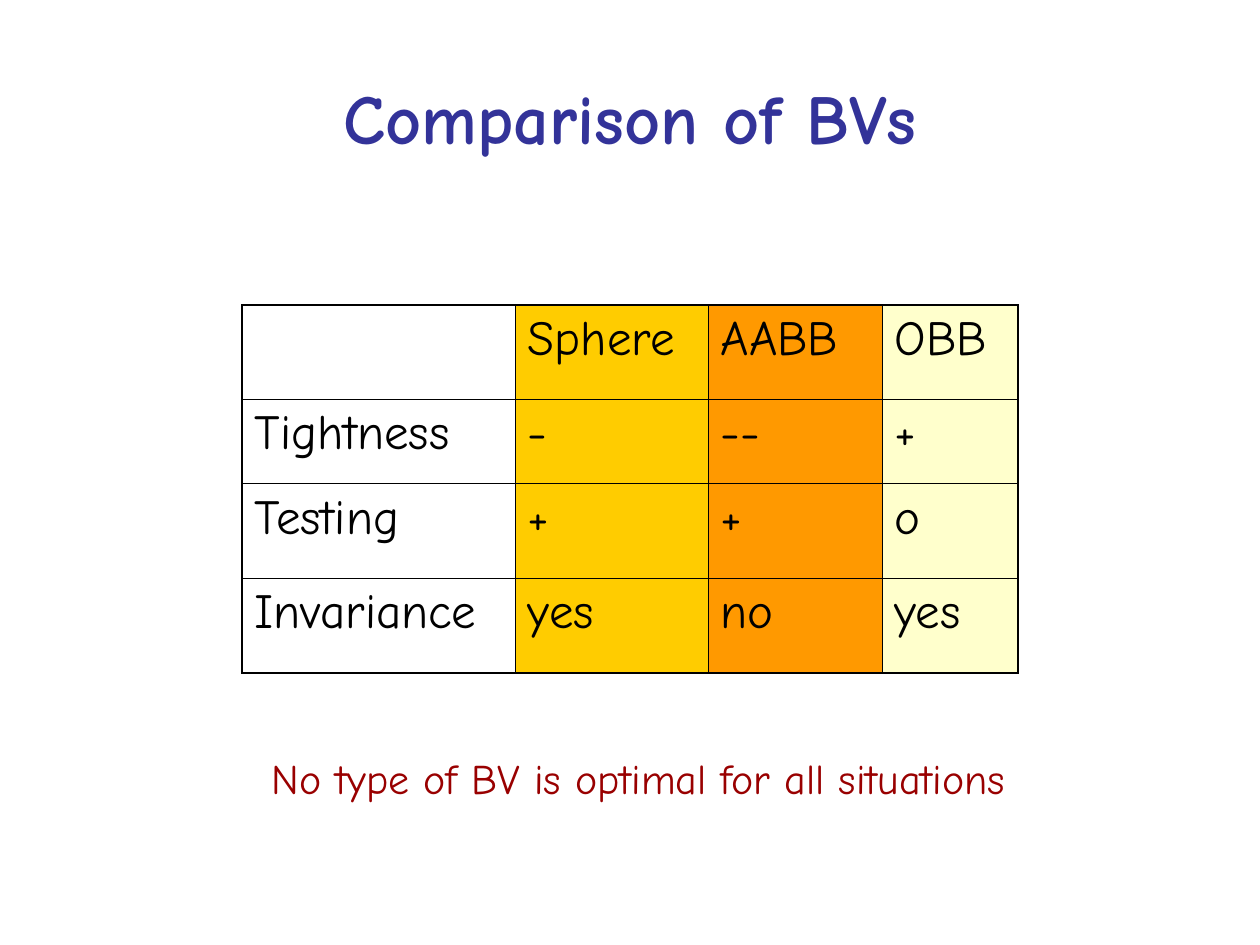
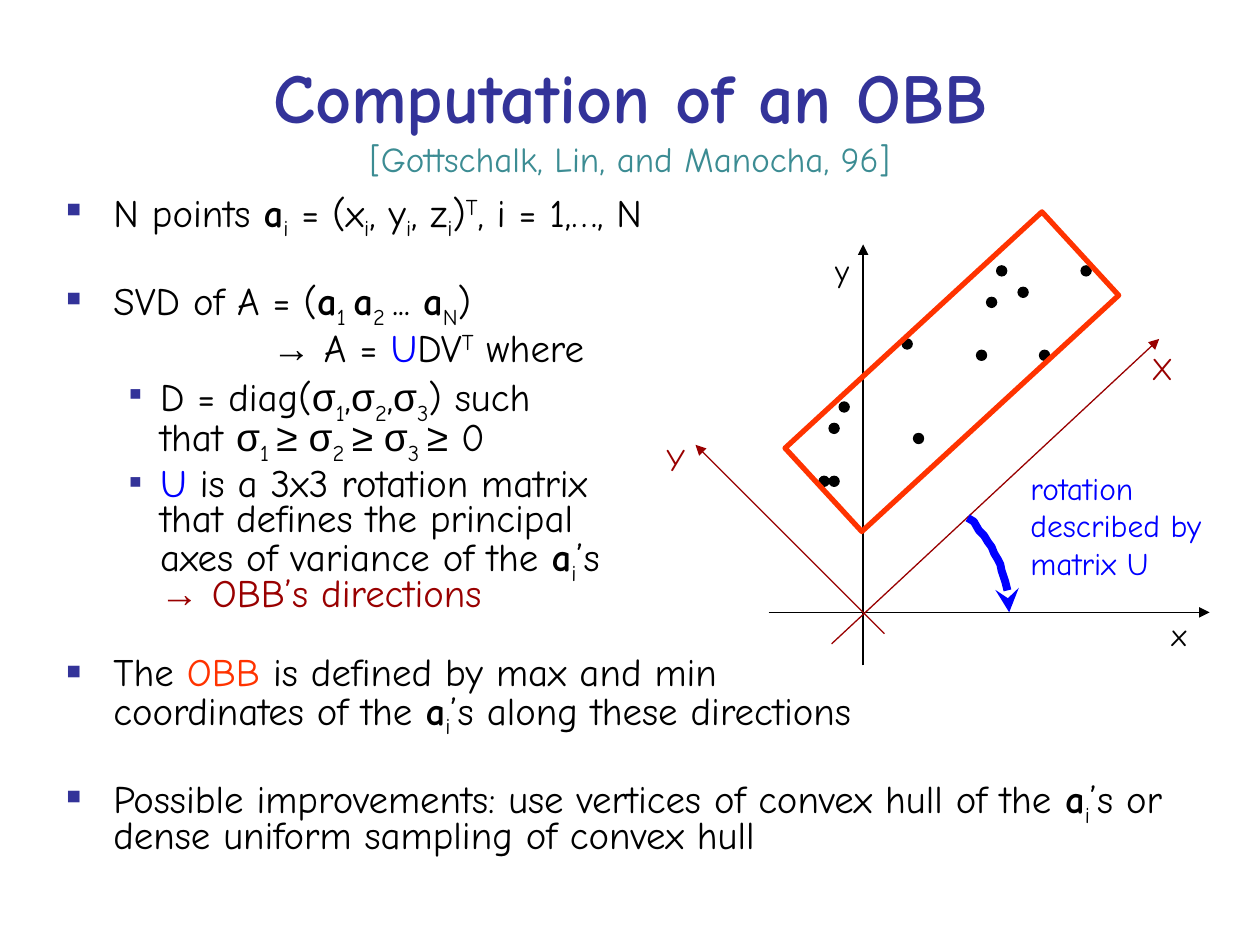
from copy import deepcopy

from lxml.etree import SubElement
from pptx import Presentation
from pptx.dml.color import RGBColor
from pptx.enum.shapes import MSO_CONNECTOR as CONNECTOR, MSO_SHAPE as SHAPE
from pptx.enum.text import MSO_ANCHOR as ANCHOR, MSO_AUTO_SIZE as AUTO_SIZE, PP_ALIGN as ALIGN
from pptx.oxml.ns import qn
from pptx.util import Pt

PX = 9144  # EMU in one px, 100 px to the inch
FONT, SYMBOL_FONT = "Comic Neue", "Arial"
BLACK, NAVY, TEAL = "000000", "333399", "3C8C93"
DARK_RED, BLUE, ORANGE_RED = "990000", "0000FF", "FF3300"

BOLD = {"bold": True}
SUB = {"baseline": -25000}
SUP = {"baseline": 30000}
SYMBOL = {"font": SYMBOL_FONT}
ROTATION = {"color": BLUE}
A_I = [("a", BOLD), ("i", SUB)]


def px(*lengths):
    return [length * PX for length in lengths]


def rgb(color):
    return RGBColor.from_string(color)


def add_run(paragraph, text, size, color=BLACK, bold=False, font=FONT, baseline=0):
    """Add text as runs, turning each newline into a line break of the same format."""
    for number, line in enumerate(text.split("\n")):
        if number:
            paragraph.add_line_break()
            paragraph._p[-1].append(deepcopy(paragraph.runs[-1]._r.rPr))
        if not line:
            continue
        run = paragraph.add_run()
        run.text = line
        run.font.size, run.font.bold, run.font.name = Pt(size), bold, font
        run.font.color.rgb = rgb(color)
        if baseline:
            run._r.get_or_add_rPr().set("baseline", str(baseline))


def place(shape, left, top, width, height):
    shape.left, shape.top, shape.width, shape.height = px(left, top, width, height)


def add_title(slide, title, citation=None):
    place(slide.shapes.title, 50, 30, 900, 125)
    frame = slide.shapes.title.text_frame
    frame.auto_size, frame.vertical_anchor = AUTO_SIZE.NONE, ANCHOR.MIDDLE
    heading = frame.paragraphs[0]
    heading.alignment = ALIGN.CENTER
    add_run(heading, title, 40, NAVY, bold=True)
    if citation:
        heading.add_line_break()
        heading._p[-1].append(deepcopy(heading.runs[-1]._r.rPr))
        add_run(heading, citation, 20, TEAL)


def add_label(slide, box, lines, size, color):
    label = slide.shapes.add_textbox(*px(*box))
    frame = label.text_frame
    frame.word_wrap, frame.auto_size = False, AUTO_SIZE.SHAPE_TO_FIT_TEXT
    for number, line in enumerate(lines):
        paragraph = frame.add_paragraph() if number else frame.paragraphs[0]
        add_run(paragraph, line, size, color)


def set_borders(cell, widths):
    properties = cell._tc.get_or_add_tcPr()
    for side, width in widths.items():
        line = SubElement(properties, qn(f"a:ln{side}"), w=str(Pt(width)))
        fill = SubElement(line, qn("a:solidFill"))
        SubElement(fill, qn("a:srgbClr"), val=BLACK)


def add_comparison(slide, left, top):
    rows = [
        ["", "Sphere", "AABB", "OBB"],
        ["Tightness", "-", "--", "+"],
        ["Testing", "+", "+", "o"],
        ["Invariance", "yes", "no", "yes"],
    ]
    column_fills = [None, "FFCC00", "FF9900", "FFFFCC"]
    column_widths, row_heights = [217, 153, 138, 108], [75, 67, 75, 75]
    outer, inner = 1.08, 0.45
    box = left, top, sum(column_widths), sum(row_heights)
    table = slide.shapes.add_table(len(rows), len(column_fills), *px(*box)).table
    table.first_row = table.horz_banding = False
    for column, width in zip(table.columns, column_widths):
        column.width = width * PX
    for row, height in zip(table.rows, row_heights):
        row.height = height * PX
    last_row, last_column = len(rows) - 1, len(column_fills) - 1
    for r, row in enumerate(rows):
        for c, (text, fill) in enumerate(zip(row, column_fills)):
            cell = table.cell(r, c)
            set_borders(cell, {
                "L": outer if c == 0 else inner,
                "R": outer if c == last_column else inner,
                "T": outer if r == 0 else inner,
                "B": outer if r == last_row else inner,
            })
            if fill:
                cell.fill.solid()
                cell.fill.fore_color.rgb = rgb(fill)
            else:
                cell.fill.background()
            add_run(cell.text_frame.paragraphs[0], text, 28)


def set_bullet(paragraph, margin, hanging, size=None):
    """Indent the paragraph; give it a square bullet if it hangs."""
    properties = paragraph._p.get_or_add_pPr()
    properties.set("marL", str(margin * PX))
    properties.set("indent", str(-hanging * PX))
    if not hanging:
        SubElement(properties, qn("a:buNone"))
        return
    color = SubElement(properties, qn("a:buClr"))
    SubElement(color, qn("a:srgbClr"), val=NAVY)
    if size:
        SubElement(properties, qn("a:buSzPct"), val=str(size * 1000))
    SubElement(properties, qn("a:buFont"), typeface=SYMBOL_FONT)
    SubElement(properties, qn("a:buChar"), char="▪")


def add_steps(slide, box):
    main, detail, follow_on = (0, 38, 38, 120), (1, 75, 25), (0, 164, 0)
    sigma = ("σ", SYMBOL)
    at_least_sigma = ("≥ σ", SYMBOL)
    steps = [
        (main, 0, [
            ("N points ", {}), *A_I, (" = (x", {}), ("i", SUB), (", y", {}), ("i", SUB),
            (", z", {}), ("i", SUB), (")", {}), ("T", SUP), (", i = 1,…, N", {})]),
        (main, 28, [
            ("SVD of A = (", {}), ("a", BOLD), ("1 ", SUB), ("a", BOLD), ("2 ", SUB),
            ("... ", {}), ("a", BOLD), ("N", SUB), (")", {})]),
        (follow_on, 6, [
            ("→", SYMBOL), (" A = ", {}), ("U", ROTATION), ("DV", {}), ("T", SUP),
            (" where", {})]),
        (detail, 6, [
            ("D = diag(", {}), sigma, ("1", SUB), (",", {}), sigma, ("2", SUB), (",", {}),
            sigma, ("3", SUB), (") such\nthat ", {}), sigma, ("1 ", SUB),
            at_least_sigma, ("2 ", SUB), at_least_sigma, ("3 ", SUB), ("≥", SYMBOL),
            (" 0", {})]),
        (detail, 6, [
            ("U", ROTATION),
            (" is a 3x3 rotation matrix\nthat defines the principal\n"
             "axes of variance of the ", {}), *A_I, ("’s\n", {}),
            ("→", {"font": SYMBOL_FONT, "color": DARK_RED}),
            (" OBB’s directions", {"color": DARK_RED})]),
        (main, 25, [
            ("The ", {}), ("OBB", {"color": ORANGE_RED}),
            (" is defined by max and min\ncoordinates of the ", {}), *A_I,
            ("’s along these directions", {})]),
        (main, 28, [
            ("Possible improvements: use vertices of convex hull of the ", {}), *A_I,
            ("’s or dense uniform sampling of convex hull", {})]),
    ]
    body = slide.placeholders[1]
    place(body, *box)
    frame = body.text_frame
    frame.auto_size, frame.vertical_anchor = AUTO_SIZE.NONE, ANCHOR.TOP
    for number, ((level, *bullet), gap, pieces) in enumerate(steps):
        paragraph = frame.add_paragraph() if number else frame.paragraphs[0]
        paragraph.level, paragraph.line_spacing = level, 0.75
        paragraph.space_before = Pt(gap)
        set_bullet(paragraph, *bullet)
        for text, style in pieces:
            add_run(paragraph, text, 22.2, **style)


def set_line(shape, color, width, arrowhead=None):
    shape.line.color.rgb = rgb(color)
    shape.line.width = Pt(width)
    if arrowhead:
        SubElement(shape.line._get_or_add_ln(), qn("a:tailEnd"), type=arrowhead)


def add_obb_diagram(slide, left, top):
    shapes = slide.shapes

    def at(x, y):
        return px(left + x, top + y)

    points = [(272, 17), (289, 34), (256, 84), (264, 42), (306, 84), (339, 17),
              (197, 75), (139, 184), (139, 142), (147, 125), (206, 150), (131, 184)]
    for point in points:
        dot = shapes.add_shape(SHAPE.OVAL, *at(*point), *px(8, 8))
        dot.shadow.inherit = False
        dot.fill.solid()
        dot.fill.fore_color.rgb = rgb(BLACK)
        set_line(dot, BLACK, 0.75)

    axes = [
        ("x", BLACK, (91, 292), (441, 292), (401, 289, 32)),
        ("y", BLACK, (166, 334), (166, 0), (134, 0, 31)),
        ("X", DARK_RED, (141, 317), (401, 75), (385, 78, 37)),
        ("Y", DARK_RED, (183, 309), (33, 159), (0, 150, 35)),
    ]
    for name, color, start, end, (x, y, width) in axes:
        axis = shapes.add_connector(CONNECTOR.STRAIGHT, *at(*start), *at(*end))
        SubElement(axis._element.spPr, qn("a:effectLst"))
        set_line(axis, color, 0.75, "triangle")
        add_label(slide, (left + x, top + y, width, 40), [name], 18, color)

    arc = [(249, 217), (254, 220), (258, 227), (262, 231), (265, 236), (268, 240),
           (270, 245), (273, 250), (275, 254), (276, 259), (279, 268), (281, 276),
           (282, 282), (282, 292)]
    builder = shapes.build_freeform(*at(*arc[0]))
    builder.add_line_segments([at(*point) for point in arc[1:]], close=False)
    turn = builder.convert_to_shape()
    turn.shadow.inherit = False
    turn.fill.background()
    set_line(turn, BLUE, 4.5, "stealth")

    bounding_box = shapes.add_shape(SHAPE.RECTANGLE, *at(98, 56), *px(277, 90))
    bounding_box.rotation = 317.4
    bounding_box.shadow.inherit = False
    bounding_box.fill.background()
    set_line(bounding_box, ORANGE_RED, 3)

    add_label(slide, (left + 289, top + 173, 156, 100),
              ["rotation", "described by", "matrix U"], 18, BLUE)


def add_comparison_slide(deck):
    slide = deck.slides.add_slide(deck.slide_layouts[5])
    add_title(slide, "Comparison of BVs")
    add_comparison(slide, 192, 242)
    add_label(slide, (206, 592, 603, 50),
              ["No type of BV is optimal for all situations"], 24, DARK_RED)


def add_computation_slide(deck):
    slide = deck.slides.add_slide(deck.slide_layouts[1])
    add_title(slide, "Computation of an OBB", "[Gottschalk, Lin, and Manocha, 96]")
    add_steps(slide, (42, 150, 900, 567))
    add_obb_diagram(slide, 519, 194)


def main():
    deck = Presentation()
    deck.slide_width, deck.slide_height = px(1000, 750)
    add_comparison_slide(deck)
    add_computation_slide(deck)
    deck.save("out.pptx")


if __name__ == "__main__":
    main()
